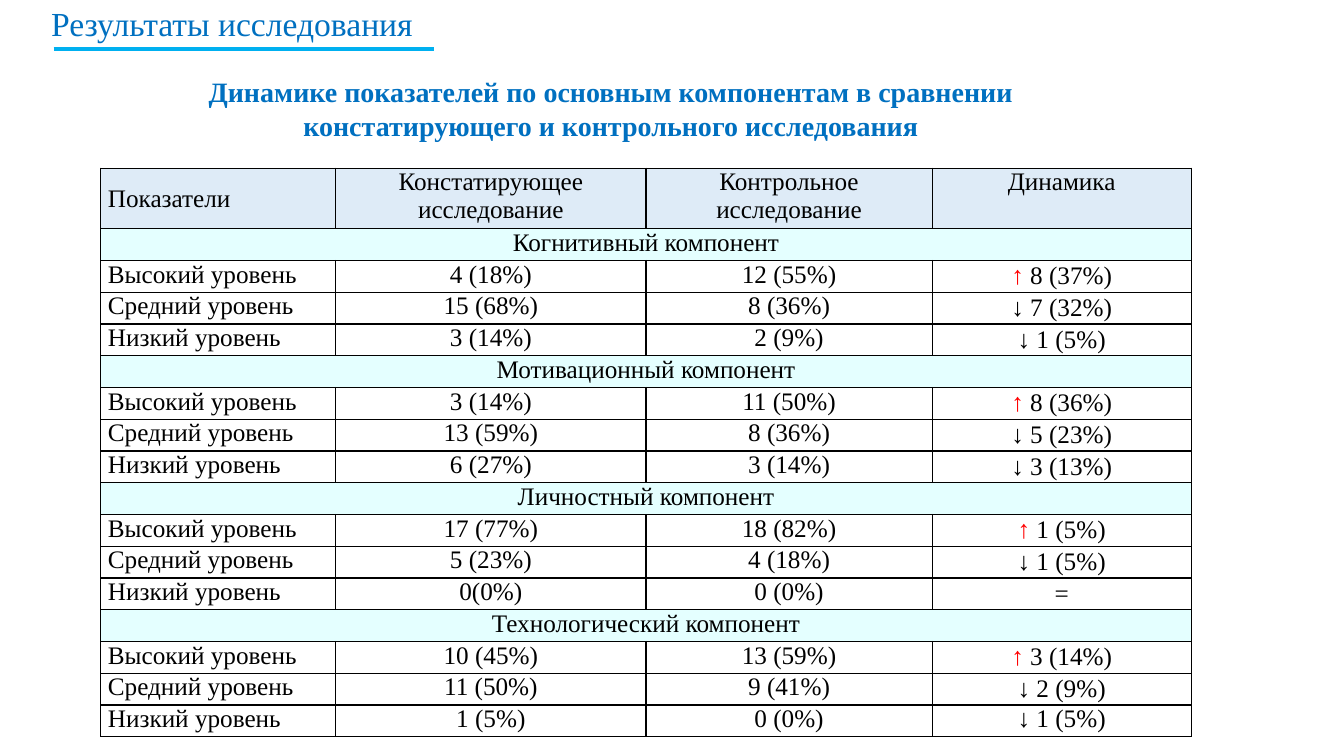
"""Build the slide that compares the ascertaining and control study results."""
from dataclasses import dataclass

from lxml import etree
from pptx import Presentation
from pptx.dml.color import RGBColor
from pptx.enum.shapes import MSO_CONNECTOR
from pptx.enum.text import MSO_ANCHOR, PP_ALIGN
from pptx.oxml.ns import qn
from pptx.slide import Slide
from pptx.table import _Cell
from pptx.text.text import TextFrame
from pptx.util import Cm, Pt

LEFT, CENTER = PP_ALIGN.LEFT, PP_ALIGN.CENTER
TOP, MIDDLE = MSO_ANCHOR.TOP, MSO_ANCHOR.MIDDLE
STRAIGHT = MSO_CONNECTOR.STRAIGHT
FONT = "Times New Roman"
COLORS = {
    "heading": "0070C0",
    "rule": "00B0F0",
    "text": "000000",
    "growth": "FF0000",
    "header": "DEEBF7",
    "band": "CCFFFF",
}
BAND_OPACITY = 53
COLUMN_WIDTHS = (5.92, 7.82, 7.21, 6.53)
HEADER_HEIGHT, ROW_HEIGHT = 1.52, 0.8
HEADERS = (
    "Показатели",
    "Констатирующее исследование",
    "Контрольное исследование",
    "Динамика",
)
LEVELS = ("Высокий уровень", "Средний уровень", "Низкий уровень")


@dataclass(frozen=True)
class Component:
    name: str
    before: tuple[str, str, str]
    after: tuple[str, str, str]
    change: tuple[str, str, str]


COMPONENTS = (
    Component("Когнитивный компонент",
              ("4 (18%)", "15 (68%)", "3 (14%)"),
              ("12 (55%)", "8 (36%)", "2 (9%)"),
              ("↑ 8 (37%)", "↓ 7 (32%)", "↓ 1 (5%)")),
    Component("Мотивационный компонент",
              ("3 (14%)", "13 (59%)", "6 (27%)"),
              ("11 (50%)", "8 (36%)", "3 (14%)"),
              ("↑ 8 (36%)", "↓ 5 (23%)", "↓ 3 (13%)")),
    Component("Личностный компонент",
              ("17 (77%)", "5 (23%)", "0(0%)"),
              ("18 (82%)", "4 (18%)", "0 (0%)"),
              ("↑ 1 (5%)", "↓ 1 (5%)", "=")),
    Component("Технологический компонент",
              ("10 (45%)", "11 (50%)", "1 (5%)"),
              ("13 (59%)", "9 (41%)", "0 (0%)"),
              ("↑ 3 (14%)", "↓ 2 (9%)", "↓ 1 (5%)")),
)


def rgb(name: str) -> RGBColor:
    return RGBColor.from_string(COLORS[name])


def write(tf: TextFrame, text: str, *, size: float = 18, color: str = "text",
          bold: bool = False, align: PP_ALIGN = CENTER) -> None:
    for i, line in enumerate(text.split("\n")):
        p = tf.add_paragraph() if i else tf.paragraphs[0]
        p.alignment = align
        parts = [("↑", "growth"), (line[1:], color)] if line.startswith("↑") else [(line, color)]
        for part, part_color in parts:
            r = p.add_run()
            r.text = part
            r.font.name = FONT
            r.font.size = Pt(size)
            r.font.bold = bold
            r.font.color.rgb = rgb(part_color)


def add_heading(s: Slide, text: str, box: tuple[float, float, float, float], *,
                size: float, wrap: bool = True, bold: bool = False,
                align: PP_ALIGN = LEFT) -> None:
    tf = s.shapes.add_textbox(*map(Cm, box)).text_frame
    tf.word_wrap = wrap
    write(tf, text, size=size, color="heading", bold=bold, align=align)


def add_rule(s: Slide, left: float, right: float, top: float) -> None:
    line = s.shapes.add_connector(STRAIGHT, Cm(left), Cm(top), Cm(right), Cm(top))
    line.line.color.rgb = rgb("rule")
    line.line.width = Pt(3)
    etree.SubElement(line._element.spPr, qn("a:effectLst"))


def style_cell(cell: _Cell, fill: str = "", opacity: int = 100) -> None:
    cell.margin_left = cell.margin_right = Cm(0.18)
    cell.margin_top = cell.margin_bottom = 0
    tc_pr = cell._tc.get_or_add_tcPr()
    if fill:
        cell.fill.solid()
        cell.fill.fore_color.rgb = rgb(fill)
        color = tc_pr.find(".//" + qn("a:srgbClr"))
        if opacity < 100:
            etree.SubElement(color, qn("a:alpha"), val=str(opacity * 1000))
    else:
        cell.fill.background()
    for i, side in enumerate(("lnL", "lnR", "lnT", "lnB")):
        border = etree.Element(qn(f"a:{side}"), w=str(Pt(1)))
        solid = etree.SubElement(border, qn("a:solidFill"))
        etree.SubElement(solid, qn("a:srgbClr"), val=COLORS["text"])
        tc_pr.insert(i, border)


def table_rows() -> list[tuple[str, ...]]:
    rows = [HEADERS]
    for c in COMPONENTS:
        rows.append((c.name,))
        rows.extend(zip(LEVELS, c.before, c.after, c.change))
    return rows


def add_results(s: Slide, left: float, top: float) -> None:
    rows = table_rows()
    heights = [HEADER_HEIGHT] + [ROW_HEIGHT] * (len(rows) - 1)
    last = len(HEADERS) - 1
    table = s.shapes.add_table(len(rows), len(HEADERS), Cm(left), Cm(top),
                               Cm(sum(COLUMN_WIDTHS)), Cm(sum(heights))).table
    table.first_row = table.horz_banding = False
    for column, width in zip(table.columns, COLUMN_WIDTHS):
        column.width = Cm(width)
    for i, (values, height) in enumerate(zip(rows, heights)):
        table.rows[i].height = Cm(height)
        is_band = len(values) == 1
        fill = "band" if is_band else "header" if i == 0 else ""
        for j in range(len(HEADERS)):
            style_cell(table.cell(i, j), fill, BAND_OPACITY if is_band else 100)
        if is_band:
            table.cell(i, 0).merge(table.cell(i, last))
        for j, value in enumerate(values):
            cell = table.cell(i, j)
            is_change = j == last and 0 < i < len(rows) - 1
            is_corner = i == j == 0
            cell.vertical_anchor = MIDDLE if is_change or is_corner else TOP
            write(cell.text_frame, value,
                  align=LEFT if j == 0 and not is_band else CENTER)


def main() -> None:
    prs = Presentation()
    prs.slide_width, prs.slide_height = Cm(33.87), Cm(19.05)
    s = prs.slides.add_slide(prs.slide_layouts[6])
    add_rule(s, 1.35, 10.95, 1.24)
    add_heading(s, "Результаты исследования", (1.04, -0.05, 21.36, 1.27), size=24)
    add_heading(s, "Динамике показателей по основным компонентам в сравнении\n"
                "констатирующего и контрольного исследования",
                (4.93, 1.75, 20.93, 1.96), size=20, wrap=False, bold=True, align=CENTER)
    add_results(s, 2.54, 4.24)
    prs.save("out.pptx")


if __name__ == "__main__":
    main()
